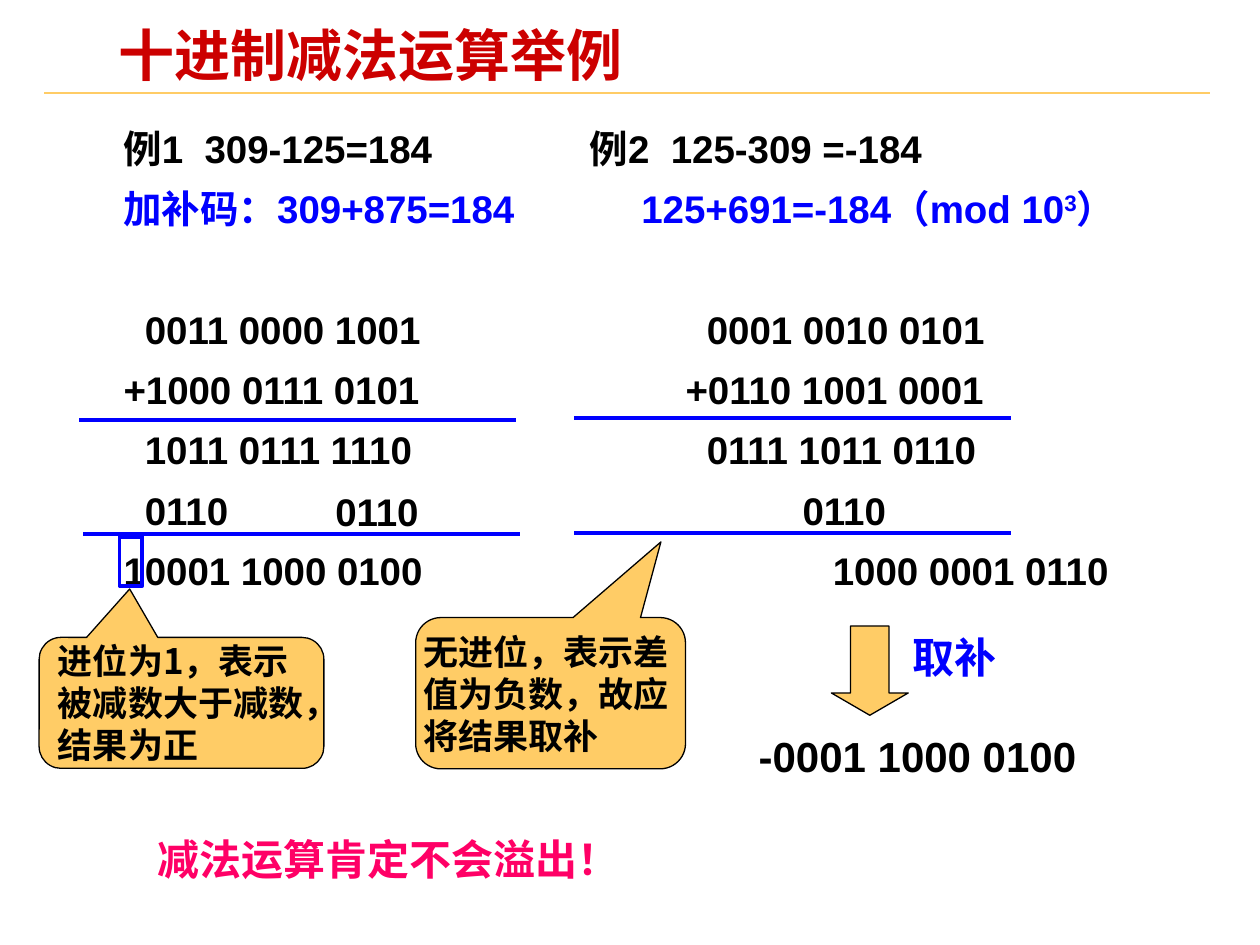
from lxml import etree
from pptx import Presentation
from pptx.dml.color import RGBColor
from pptx.enum.shapes import MSO_CONNECTOR, MSO_SHAPE
from pptx.enum.text import MSO_ANCHOR, MSO_AUTO_SIZE, PP_ALIGN
from pptx.oxml.ns import qn
from pptx.util import Cm, Pt

RED = RGBColor(0xCC, 0x00, 0x00)
BLUE = RGBColor(0x00, 0x00, 0xFF)
BLACK = RGBColor(0x00, 0x00, 0x00)
PINK = RGBColor(0xFF, 0x00, 0x66)
AMBER = RGBColor(0xFF, 0xCC, 0x66)
CALLOUT = MSO_SHAPE.ROUNDED_RECTANGULAR_CALLOUT
TOP, MIDDLE = MSO_ANCHOR.TOP, MSO_ANCHOR.MIDDLE
LEFT, CENTER = PP_ALIGN.LEFT, PP_ALIGN.CENTER
ARIAL, CJK, TIMES = "Arial", "Noto Sans CJK SC", "Times New Roman"

TITLE = "十进制减法运算举例"
# Each row: colour, space before (pt), left indent (cm), text, superscript, rest
EXAMPLE_1 = [
    (BLACK, 0, 0, "例1  309-125=184"),
    (BLUE, 5.5, 0, "加补码：309+875=184"),
    (BLACK, 40, 0.43, "0011 0000 1001"),
    (BLACK, 5.5, 0, "+1000 0111 0101"),
    (BLACK, 5.5, 0.43, "1011 0111 1110"),
    (BLACK, 5.5, 0.43, "0110"),
    (BLACK, 5.5, 0, "10001 1000 0100"),
]
EXAMPLE_2 = [
    (BLACK, 0, 0, "例2  125-309 =-184"),
    (BLUE, 5.5, 1.04, "125+691=-184（mod 10", "3", "）"),
    (BLACK, 40, 2.36, "0001 0010 0101"),
    (BLACK, 5.5, 1.93, "+0110 1001 0001"),
    (BLACK, 5.5, 2.36, "0111 1011 0110"),
    (BLACK, 5.5, 4.29, "0110"),
    (BLACK, 5.5, 4.9, "1000 0001 0110"),
]
LOW_DIGIT_FIX = [(BLACK, 0, 0, "0110")]
COLUMN_TOP, ROW_PITCH = 2.34, 1.22
SUM_LINES = [(1.6, 8.46), (1.68, 10.77), (11.58, 8.43), (11.58, 10.74)]
SUM_LENGTH = 8.81
CALLOUTS = [
    ("进位为1，表示被减数大于减数，结果为正", CJK, (0.79, 12.85, 5.74, 2.64),
     (-0.182, -0.87, 0.167), 0.25),
    ("无进位，表示差值为负数，故应将结果取补", TIMES, (8.38, 12.45, 5.44, 3.05),
     (0.409, -1, 0.167), 0),
]
LABELS = [
    ("取补", TIMES, BLUE, CENTER, (17.83, 12.6, 2.82, 1.27)),
    ("-0001 1000 0100", ARIAL, BLACK, CENTER, (15.04, 14.58, 6.91, 1.27)),
    ("减法运算肯定不会溢出！", CJK, PINK, LEFT, (2.92, 16.66, 10.16, 1.27)),
]


def to_cm(box):
    return [Cm(v) for v in box]


def place(sp, box):
    sp.left, sp.top, sp.width, sp.height = to_cm(box)


def set_frame(sp, inset_x, inset_y, anchor):
    tf = sp.text_frame
    tf.word_wrap = True
    tf.auto_size = MSO_AUTO_SIZE.NONE
    tf.margin_left = tf.margin_right = Cm(inset_x)
    tf.margin_top = tf.margin_bottom = Cm(inset_y)
    tf.vertical_anchor = anchor
    return tf


def add_run(p, text, size, font, color):
    r = p.add_run()
    r.text = text
    r.font.size, r.font.bold, r.font.name = Pt(size), True, font
    r.font.color.rgb = color
    ea = etree.SubElement(r._r.get_or_add_rPr(), qn("a:ea"))
    ea.set("typeface", CJK if font == TIMES else font)
    return r


def add_line(slide, x, y, length, color, width):
    line = slide.shapes.add_connector(
        MSO_CONNECTOR.STRAIGHT, Cm(x), Cm(y), Cm(x + length), Cm(y))
    line.line.color.rgb, line.line.width = color, Pt(width)
    etree.SubElement(line._element.spPr, qn("a:effectLst"))


def add_shape(slide, kind, box, fill, line_color, width, adjustments=()):
    sp = slide.shapes.add_shape(kind, *to_cm(box))
    sp.shadow.inherit = False
    if fill is None:
        sp.fill.background()
    else:
        sp.fill.solid()
        sp.fill.fore_color.rgb = fill
    sp.line.color.rgb, sp.line.width = line_color, Pt(width)
    for i, value in enumerate(adjustments):
        sp.adjustments[i] = value
    return sp


def fill_column(sp, rows):
    """Write one example, each row indented from the column's left edge."""
    tf = set_frame(sp, 0.18, 0.08, TOP)
    for i, (color, before, indent, *texts) in enumerate(rows):
        p = tf.paragraphs[0] if i == 0 else tf.add_paragraph()
        pPr = p._p.get_or_add_pPr()
        pPr.set("marL", str(int(Cm(indent))))
        pPr.set("indent", "0")
        etree.SubElement(pPr, qn("a:buNone"))
        p.alignment = LEFT
        p.line_spacing, p.space_before = Pt(29), Pt(before)
        for k, text in enumerate(texts):
            r = add_run(p, text, 22, ARIAL, color)
            if k == 1:
                r.font._element.set("baseline", "30000")


def main():
    prs = Presentation()
    prs.slide_width, prs.slide_height = Cm(25.4), Cm(19.05)
    s = prs.slides.add_slide(prs.slide_layouts[1])

    title, body = s.placeholders
    place(title, (2.21, 0.43, 16.87, 1.32))
    p = set_frame(title, 0.18, 0.08, MIDDLE).paragraphs[0]
    p.alignment = LEFT
    add_run(p, TITLE, 32, ARIAL, RED)

    place(body, (2.31, COLUMN_TOP, 9.3, 9.7))
    fill_column(body, EXAMPLE_1)
    for rows, box in (
        (EXAMPLE_2, (11.71, COLUMN_TOP, 13.2, 9.7)),
        (LOW_DIGIT_FIX, (6.58, COLUMN_TOP + 6 * ROW_PITCH, 2.5, 1.2)),
    ):
        fill_column(s.shapes.add_textbox(*to_cm(box)), rows)

    add_line(s, 0.89, 1.88, 23.5, AMBER, 1)
    for x, y in SUM_LINES:
        add_line(s, x, y, SUM_LENGTH, BLUE, 2.25)
    add_shape(s, MSO_SHAPE.RECTANGLE, (2.41, 10.82, 0.46, 0.99), None, BLUE, 2.25)

    for text, font, box, adjustments, inset in CALLOUTS:
        sp = add_shape(s, CALLOUT, box, AMBER, BLACK, 0.75, adjustments)
        p = set_frame(sp, inset, 0.13, MIDDLE).paragraphs[0]
        p.alignment, p.line_spacing = LEFT, Pt(24)
        add_run(p, text, 20, font, BLACK)

    add_shape(s, MSO_SHAPE.DOWN_ARROW, (16.76, 12.62, 1.55, 1.8), AMBER, BLACK,
              0.75, (0.5, 0.29))
    for text, font, color, align, box in LABELS:
        sp = s.shapes.add_textbox(*to_cm(box))
        p = set_frame(sp, 0.25, 0.13, TOP).paragraphs[0]
        p.alignment, p.line_spacing = align, Pt(29)
        add_run(p, text, 24, font, color)

    prs.save("out.pptx")


if __name__ == "__main__":
    main()
